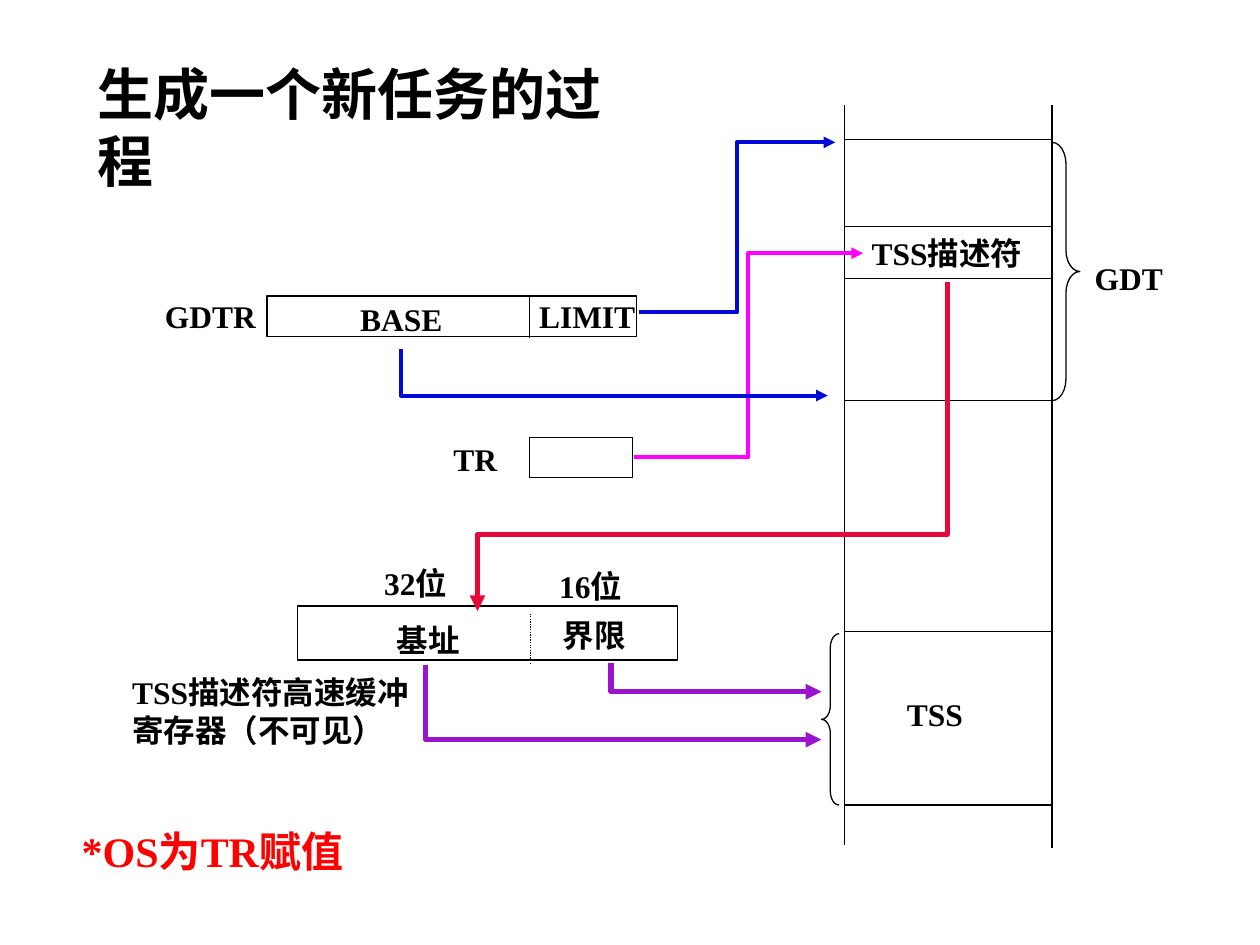
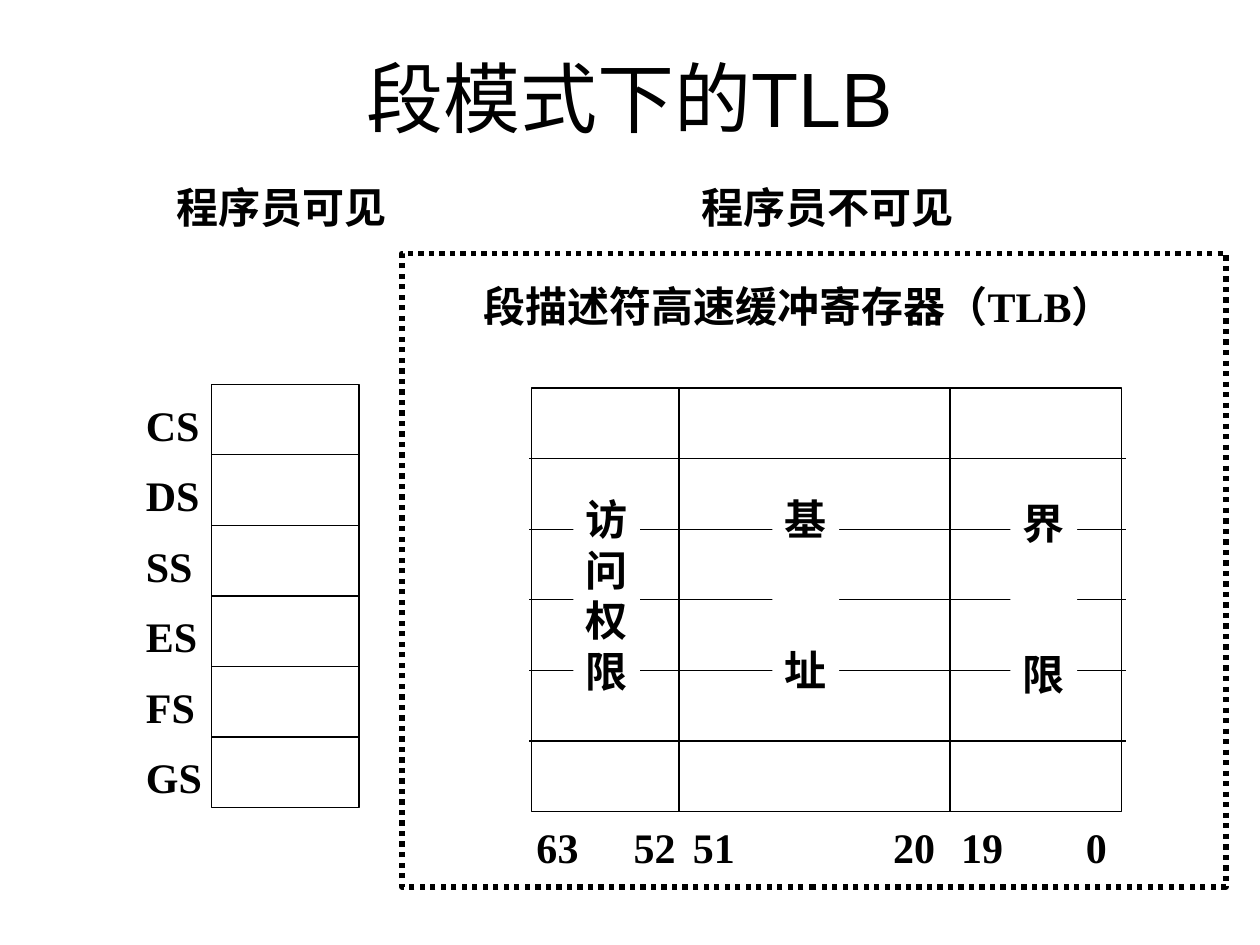
from dataclasses import dataclass

from pptx import Presentation
from pptx.dml.color import RGBColor
from pptx.enum.dml import MSO_LINE
from pptx.enum.shapes import MSO_CONNECTOR, MSO_SHAPE
from pptx.enum.text import MSO_ANCHOR, MSO_AUTO_SIZE, PP_ALIGN
from pptx.oxml.ns import qn
from pptx.util import Inches, Pt
from lxml.etree import SubElement


@dataclass(frozen=True)
class Theme:
    black: str = "000000"
    white: str = "FFFFFF"
    red: str = "FF0000"
    gdtr_blue: str = "000AD8"
    tr_magenta: str = "FF00FF"
    descriptor_red: str = "E80838"
    cache_purple: str = "9A14D0"
    body_font: str = "Times New Roman"
    title_font: str = "Arial"
    label_size: int = 18
    large_size: int = 24
    heading_size: int = 32
    title_size: int = 44
    thin: float = 0.75
    medium: float = 2.25
    thick: float = 3


THEME = Theme()
TITLE_ONLY = 5


def apply_format(target, values):
    for name, value in values.items():
        setattr(target, name, value)


class Diagram:
    """Holds the style and the slide being drawn."""

    def __init__(self, presentation, theme):
        self.presentation = presentation
        self.theme = theme
        self.slide = None

    def new_slide(self):
        layout = self.presentation.slide_layouts[TITLE_ONLY]
        self.slide = self.presentation.slides.add_slide(layout)

    # Formatting helpers
    def format_line(self, shape, color=None, weight=None, dash=None, arrow=False):
        shape.line.color.rgb = RGBColor.from_string(color or self.theme.black)
        shape.line.width = Pt(weight or self.theme.thin)
        if dash:
            shape.line.dash_style = dash
        if arrow:
            SubElement(shape.line._get_or_add_ln(), qn("a:tailEnd"), type="triangle")

    def set_text(self, shape, lines, size, color=None, font=None, bold=True,
                 alignment=PP_ALIGN.LEFT, **paragraph_format):
        frame = shape.text_frame
        frame.text = "\n".join(lines)
        frame.auto_size = MSO_AUTO_SIZE.NONE
        font_format = {"name": font or self.theme.body_font,
                       "size": Pt(size), "bold": bold}
        for paragraph in frame.paragraphs:
            apply_format(paragraph, {"alignment": alignment, **paragraph_format})
            for run in paragraph.runs:
                apply_format(run.font, font_format)
                run.font.color.rgb = RGBColor.from_string(color or self.theme.black)
        return frame

    # Text
    def title(self, text, left, top, width, height, size, **style):
        shape = self.slide.shapes.title
        apply_format(shape, {"left": Inches(left), "top": Inches(top),
                             "width": Inches(width), "height": Inches(height)})
        return self.set_text(shape, [text], size, **style)

    def label(self, lines, left, top, width, height=0.4, size=None, **style):
        if isinstance(lines, str):
            lines = [lines]
        shape = self.slide.shapes.add_textbox(
            Inches(left), Inches(top), Inches(width), Inches(height))
        self.set_text(shape, lines, size or self.theme.label_size, **style)
        shape.text_frame.word_wrap = False
        return shape

    def column_name(self, characters, left, top, gap=0):
        """Vertical name on a white patch that hides the row lines."""
        shape = self.label(list(characters), left, top, 0.53, 2.5,
                           size=self.theme.large_size)
        shape.fill.solid()
        shape.fill.fore_color.rgb = RGBColor.from_string(self.theme.white)
        shape.text_frame.margin_top = Inches(0.44)
        for paragraph in shape.text_frame.paragraphs[1:]:
            paragraph.space_before = Pt(gap)

    # Shapes and lines
    def outline(self, left, top, width, height, kind=MSO_SHAPE.RECTANGLE,
                adjustment=None, **line):
        shape = self.slide.shapes.add_shape(
            kind, Inches(left), Inches(top), Inches(width), Inches(height))
        if adjustment:
            shape.adjustments[0] = adjustment
        shape.fill.background()
        shape.shadow.inherit = False
        self.format_line(shape, **line)
        return shape

    def connector(self, start, end, kind=MSO_CONNECTOR.STRAIGHT, **line):
        ends = [Inches(value) for value in (*start, *end)]
        shape = self.slide.shapes.add_connector(kind, *ends)
        self.format_line(shape, **line)
        SubElement(shape._element.spPr, qn("a:effectLst"))
        return shape

    def bent_arrow(self, points, color, weight):
        corners = [(Inches(x), Inches(y)) for x, y in points]
        builder = self.slide.shapes.build_freeform(*corners[0])
        builder.add_line_segments(corners[1:], close=False)
        shape = builder.convert_to_shape()
        shape.fill.background()
        shape.shadow.inherit = False
        self.format_line(shape, color, weight, arrow=True)


def draw_task_creation(diagram):
    theme = diagram.theme
    diagram.new_slide()
    frame = diagram.title("生成一个新任务的过程", 0.67, 0.42, 4.65, 0.64,
                          theme.heading_size)
    apply_format(frame, {"vertical_anchor": MSO_ANCHOR.TOP, "word_wrap": False})

    # Memory column with the GDT and the TSS
    memory_left, memory_right = 6.7, 8.35
    for x, bottom in ((memory_left, 6.71), (memory_right, 6.73)):
        diagram.connector((x, 0.83), (x, bottom))
    for y in (1.11, 1.8, 2.21, 3.18, 5.01, 6.39):
        diagram.connector((memory_left, y), (memory_right, y))
    diagram.outline(memory_right, 1.13, 0.22, 2.05, MSO_SHAPE.RIGHT_BRACE, 0.78)
    diagram.outline(6.52, 5.03, 0.14, 1.36, MSO_SHAPE.LEFT_BRACE, 0.78)

    # Registers
    diagram.outline(2.12, 2.35, 2.93, 0.32)
    diagram.connector((4.2, 2.35), (4.2, 2.68))
    diagram.outline(4.2, 3.47, 0.82, 0.32)
    diagram.outline(2.36, 4.81, 3.02, 0.43)
    diagram.connector((4.21, 4.87), (4.21, 5.26), dash=MSO_LINE.ROUND_DOT)

    # Pointers
    for start, end, color in (
            ((5.07, 2.48), (6.63, 1.13), theme.gdtr_blue),
            ((5.03, 3.63), (6.85, 2.01), theme.tr_magenta)):
        diagram.connector(start, end, MSO_CONNECTOR.ELBOW, color=color,
                          weight=theme.medium, arrow=True)
    for points, color, weight in (
            (((3.18, 2.77), (3.18, 3.14), (6.57, 3.14)),
             theme.gdtr_blue, theme.medium),
            (((7.52, 2.24), (7.52, 4.24), (3.79, 4.24), (3.79, 4.85)),
             theme.descriptor_red, theme.thick),
            (((4.85, 5.26), (4.85, 5.49), (6.52, 5.49)),
             theme.cache_purple, theme.thick),
            (((3.38, 5.28), (3.38, 5.87), (6.52, 5.87)),
             theme.cache_purple, theme.thick)):
        diagram.bent_arrow(points, color, weight)

    # Labels
    for text, left, top, width in (
            ("GDTR", 1.21, 2.31, 0.92), ("BASE", 2.76, 2.33, 0.85),
            ("LIMIT", 4.18, 2.31, 0.96), ("GDT", 8.59, 2.01, 0.74),
            ("TSS描述符", 6.82, 1.81, 1.45), ("TR", 3.5, 3.44, 0.54),
            ("32位", 2.95, 4.43, 0.76), ("16位", 4.34, 4.45, 0.76),
            ("基址", 3.05, 4.88, 0.7), ("界限", 4.37, 4.84, 0.7),
            ("TSS", 7.1, 5.47, 0.64)):
        diagram.label(text, left, top, width)
    diagram.label(["TSS描述符高速缓冲", "寄存器（不可见）"], 0.95, 5.29, 2.45, 0.7)
    diagram.label("*OS为TR赋值", 0.55, 6.5, 2.51, 0.5,
                  size=theme.large_size, color=theme.red)


def draw_segment_tlb(diagram):
    theme = diagram.theme
    row_height, row_count = 0.56, 6
    table_height = row_height * row_count
    diagram.new_slide()
    frame = diagram.title("段模式下的TLB", 0.5, 0.3, 9, 0.93, theme.title_size,
                          font=theme.title_font, bold=False,
                          alignment=PP_ALIGN.CENTER)
    frame.vertical_anchor = MSO_ANCHOR.MIDDLE

    # Segment registers
    left, top, width = 1.68, 3.05, 1.17
    registers = diagram.outline(left, top, width, table_height)
    for row in range(1, row_count):
        y = top + row * row_height
        divider = diagram.connector((left, y), (left + width, y))
        if row == row_count // 2:
            divider.begin_connect(registers, 1)
            divider.end_connect(registers, 3)
    diagram.label(["CS", "DS", "SS", "ES", "FS", "GS"], 1.06, 2.96, 0.64, 3.46,
                  size=theme.large_size, line_spacing=1.4)

    # Descriptor cache: the names hide only the middle row lines
    cache_top = 3.08

    def cache_rows(rows):
        for row in rows:
            y = cache_top + row * row_height
            diagram.connector((4.2, y), (8.94, y))

    cache_rows((2, 3, 4))
    diagram.outline(4.22, cache_top, 4.68, table_height)
    for x in (5.39, 7.54):
        diagram.connector((x, cache_top), (x, cache_top + table_height))
    for characters, name_left, name_top, gap in (
            ("访问权限", 4.55, 3.48, 0), ("基址", 6.13, 3.48, 57.5),
            ("界限", 8.02, 3.51, 57.5)):
        diagram.column_name(characters, name_left, name_top, gap)
    cache_rows((1, 5))

    # Bit numbers
    for bit, bit_left in ((63, 4.16), (52, 4.93), (51, 5.4),
                          (20, 6.99), (19, 7.53), (0, 8.52)):
        diagram.label(str(bit), bit_left, 6.47, 0.53 if bit else 0.36, 0.5,
                      size=theme.large_size)

    # Headings and the hidden area
    for text, text_left, text_top, text_width in (
            ("程序员可见", 1.3, 1.39, 1.86), ("程序员不可见", 5.47, 1.39, 2.2),
            ("段描述符高速缓冲寄存器（TLB）", 3.74, 2.18, 5.36)):
        diagram.label(text, text_left, text_top, text_width, 0.5,
                      size=theme.large_size)
    diagram.outline(3.19, 2.01, 6.54, 5.03, weight=theme.thick,
                    dash=MSO_LINE.ROUND_DOT)


def main():
    presentation = Presentation()
    presentation.slide_width = Inches(10)
    presentation.slide_height = Inches(7.5)
    diagram = Diagram(presentation, THEME)
    draw_task_creation(diagram)
    draw_segment_tlb(diagram)
    presentation.save("out.pptx")


if __name__ == "__main__":
    main()
